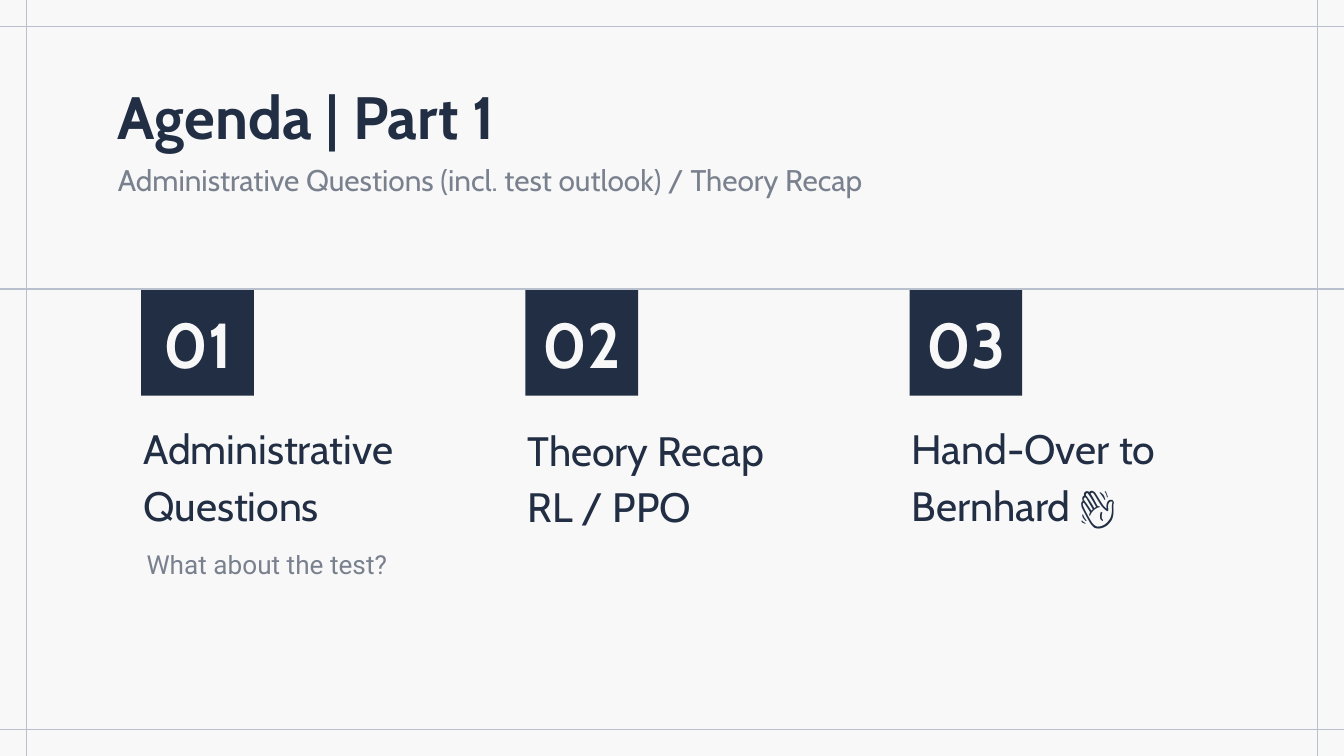
from lxml.etree import SubElement
from pptx import Presentation
from pptx.dml.color import RGBColor
from pptx.enum.shapes import MSO_CONNECTOR, MSO_SHAPE
from pptx.enum.text import MSO_ANCHOR, PP_ALIGN
from pptx.oxml.ns import qn
from pptx.util import Cm, Pt

WIDTH, HEIGHT = 25.4, 14.29
NAVY, PAPER, RULE = "222E44", "F8F8F8", "B8C0CE"
MARGIN = 0.5
INSET = 0.25
COLUMN_LEFT, COLUMN_PITCH = 2.67, 7.26
AGENDA = [
    (["Administrative Questions"], MSO_ANCHOR.BOTTOM, INSET),
    (["Theory Recap", "RL / PPO"], MSO_ANCHOR.TOP, 0),
    (["Hand-Over to Bernhard 👋"], MSO_ANCHOR.BOTTOM, INSET),
]


def paint(fill, color):
    fill.solid()
    fill.fore_color.rgb = RGBColor.from_string(color)


def write(shape, *lines, size, font="Cabin", color=NAVY, bold=False, opacity=None,
          align=PP_ALIGN.LEFT, anchor=MSO_ANCHOR.TOP, spacing=None,
          left=INSET, top=INSET, indent=None):
    """Fill a shape with one paragraph per line; indent is (left margin, first line)."""
    tf = shape.text_frame
    tf.word_wrap = True
    tf.vertical_anchor = anchor
    tf.margin_left, tf.margin_top = Cm(left), Cm(top)
    tf.margin_right = tf.margin_bottom = Cm(INSET)
    for i, line in enumerate(lines):
        p = tf.add_paragraph() if i else tf.paragraphs[0]
        p.alignment = align
        if spacing:
            p.line_spacing = spacing
        if indent:
            pPr = p._p.get_or_add_pPr()
            pPr.set("marL", str(Cm(indent[0])))
            pPr.set("indent", str(Cm(indent[1])))
        r = p.add_run()
        r.text = line
        r.font.name, r.font.size, r.font.bold = font, Pt(size), bold
        paint(r.font.fill, color)
        if opacity:
            srgb = r._r.rPr.find(qn("a:solidFill")).find(qn("a:srgbClr"))
            SubElement(srgb, qn("a:alpha")).set("val", str(opacity * 1000))


def add_text(s, x, y, w, h, *lines, **fmt):
    write(s.shapes.add_textbox(Cm(x), Cm(y), Cm(w), Cm(h)), *lines, **fmt)


def add_rule(s, x1, y1, x2, y2):
    line = s.shapes.add_connector(MSO_CONNECTOR.STRAIGHT, Cm(x1), Cm(y1), Cm(x2), Cm(y2))
    paint(line.line.fill, RULE)
    line.line.width = Pt(0.75)
    SubElement(line._element.spPr, qn("a:effectLst"))


def add_frame(s):
    for y in (MARGIN, HEIGHT - MARGIN):
        add_rule(s, 0, y, WIDTH, y)
    for x in (MARGIN, WIDTH - MARGIN):
        add_rule(s, x, 0, x, HEIGHT)


def add_number(s, x, number):
    sp = s.shapes.add_shape(MSO_SHAPE.RECTANGLE, Cm(x), Cm(5.48), Cm(2.13), Cm(2))
    sp.shadow.inherit = False
    paint(sp.fill, NAVY)
    sp.line.fill.background()
    write(sp, f"{number:02}", size=34, color=PAPER, bold=True,
          align=PP_ALIGN.CENTER, anchor=MSO_ANCHOR.MIDDLE)


def main():
    prs = Presentation()
    prs.slide_width, prs.slide_height = Cm(WIDTH), Cm(HEIGHT)
    s = prs.slides.add_slide(prs.slide_layouts[6])
    paint(s.background.fill, PAPER)

    add_frame(s)
    add_text(s, 1.98, 1.25, 21.44, 1.6, "Agenda | Part 1", size=32, bold=True)
    muted = dict(opacity=58, spacing=1.15, indent=(1.27, -0.89))
    add_text(s, 1.6, 2.82, 17.1, 1.17,
             "Administrative Questions (incl. test outlook) / Theory Recap",
             size=16, anchor=MSO_ANCHOR.BOTTOM, **muted)

    for i, (lines, anchor, top) in enumerate(AGENDA):
        x = COLUMN_LEFT + i * COLUMN_PITCH
        add_number(s, x, i + 1)
        add_text(s, x - 0.21, 7.9, 5.97, 2.36, *lines, size=22,
                 anchor=anchor, top=top, spacing=1.15)

    add_rule(s, 0, 5.46, WIDTH, 5.46)
    add_text(s, 2.39, 10.03, 5.97, 1.8, "What about the test?",
             size=14, font="Roboto", left=0, **muted)
    prs.save("out.pptx")


if __name__ == "__main__":
    main()
